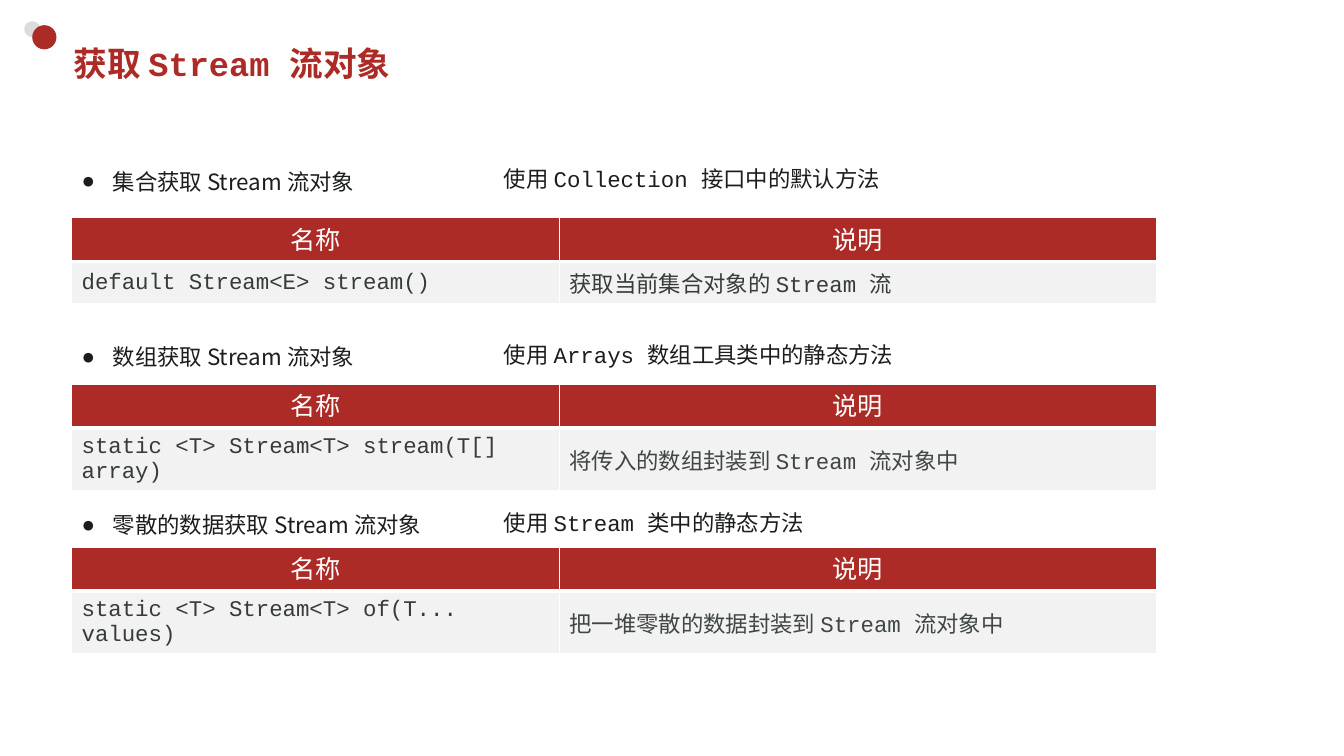
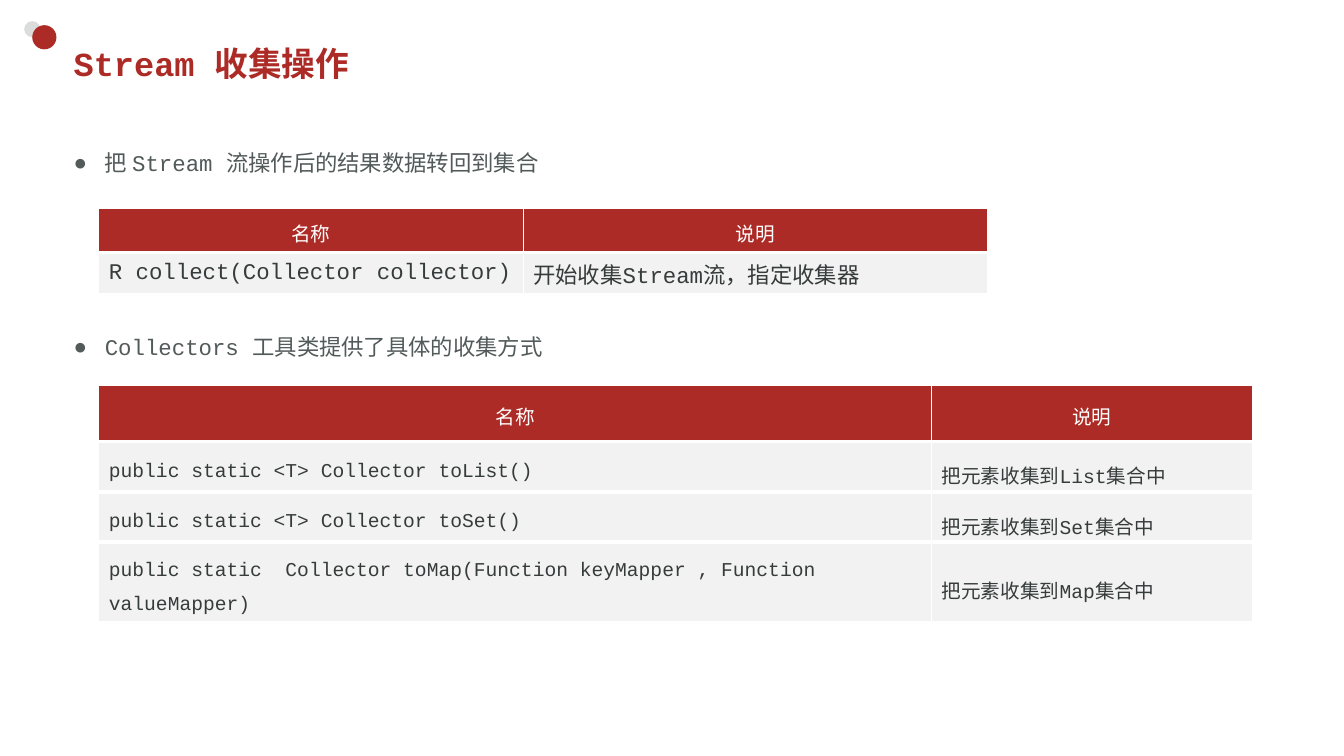
from dataclasses import dataclass

from lxml.etree import SubElement
from pptx import Presentation
from pptx.dml.color import RGBColor
from pptx.enum.lang import MSO_LANGUAGE_ID
from pptx.enum.shapes import MSO_SHAPE
from pptx.enum.text import MSO_ANCHOR, MSO_AUTO_SIZE, PP_ALIGN
from pptx.oxml import parse_xml
from pptx.oxml.ns import nsdecls, qn
from pptx.util import Inches, Pt


@dataclass(frozen=True)
class Theme:
    red: str = "AD2B26"
    dot_gray: str = "DADDDC"
    row_gray: str = "F2F2F2"
    white: str = "FFFFFF"
    ink: str = "1B1E1D"
    cell_ink: str = "363C3B"
    soft_ink: str = "3F4645"
    bullet_ink: str = "525B5A"
    code_font: str = "Courier New"
    head_font: str = "Arial"
    cjk_font: str = "Noto Sans CJK JP"
    title_size: int = 24
    head_size: int = 18
    text_size: int = 16
    small_size: int = 14


THEME = Theme()


def rgb(color):
    return RGBColor.from_string(color)


def write(frame, text, *, size=THEME.text_size, font=THEME.code_font, color=THEME.ink,
          bold=False, align=PP_ALIGN.LEFT, spacing=1.0, bullet=None):
    paragraph = frame.paragraphs[0]
    properties = paragraph._p.get_or_add_pPr()
    indent = Inches(0.31) if bullet else 0
    properties.set("marL", str(indent))
    properties.set("indent", str(-indent))
    if bullet:
        SubElement(properties, qn("a:buFont")).set("typeface", THEME.head_font)
        SubElement(properties, qn("a:buChar")).set("char", bullet)
    else:
        SubElement(properties, qn("a:buNone"))
    paragraph.alignment = align
    paragraph.line_spacing = spacing
    paragraph.space_before = Pt(0)
    run = paragraph.add_run()
    run.text = text
    run.font.size = Pt(size)
    run.font.bold = bold
    run.font.color.rgb = rgb(color)
    run.font.name = font
    run.font.language_id = MSO_LANGUAGE_ID.SIMPLIFIED_CHINESE
    SubElement(run._r.get_or_add_rPr(), qn("a:ea")).set("typeface", THEME.cjk_font)


def place(part, left, top, width, height):
    part.left, part.top = Inches(left), Inches(top)
    part.width, part.height = Inches(width), Inches(height)


def fit_text(frame):
    frame.word_wrap = True
    frame.auto_size = MSO_AUTO_SIZE.SHAPE_TO_FIT_TEXT
    frame.vertical_anchor = MSO_ANCHOR.TOP


def add_corner_dots(layout, slide):
    dots = [(0.24, 0.21, 0.16, THEME.dot_gray), (0.32, 0.25, 0.24, THEME.red)]
    for order, (left, top, size, color) in enumerate(dots):
        dot = slide.shapes.add_shape(MSO_SHAPE.OVAL, Inches(left), Inches(top),
                                     Inches(size), Inches(size))
        dot.shadow.inherit = False
        dot.fill.solid()
        dot.fill.fore_color.rgb = rgb(color)
        dot.line.fill.background()
        dot.element.nvSpPr.cNvPr.set("id", str(101 + order))
        layout.shapes.element.insert(2 + order, dot.element)


def start_slide(deck, layout, title):
    slide = deck.slides.add_slide(layout)
    heading = slide.shapes.title
    place(heading, 0.63, 0.37, 11.74, 0.52)
    frame = heading.text_frame
    frame.word_wrap = True
    frame.auto_size = MSO_AUTO_SIZE.NONE
    frame.vertical_anchor = MSO_ANCHOR.MIDDLE
    write(frame, title, size=THEME.title_size, color=THEME.red, bold=True)
    bodies = [body for body in slide.placeholders if body.placeholder_format.idx != 0]
    return slide, bodies


def fill_bullets(bodies, bullets, left, width, **style):
    for body, (text, top) in zip(bodies, bullets):
        place(body, left, top, width, 0.47)
        fit_text(body.text_frame)
        write(body.text_frame, text, spacing=1.5, bullet="●", **style)
    for spare in bodies[len(bullets):]:
        spare.element.getparent().remove(spare.element)


def add_caption(slide, text, left, top):
    caption = slide.shapes.add_textbox(Inches(left), Inches(top), Inches(4.92), Inches(0.47))
    fit_text(caption.text_frame)
    write(caption.text_frame, text, spacing=1.5)


def set_borders(cell, top_width):
    edges = [("lnL", 1), ("lnR", 1), ("lnT", top_width), ("lnB", 3)]
    properties = cell._tc.get_or_add_tcPr()
    for order, (edge, width) in enumerate(edges):
        properties.insert(order, parse_xml(
            f'<a:{edge} {nsdecls("a")} w="{Pt(width)}"><a:solidFill>'
            f'<a:srgbClr val="{THEME.white}"/></a:solidFill></a:{edge}>'))


def add_method_table(slide, methods, left, top, columns, heights, head_size=THEME.head_size,
                     note_color=THEME.cell_ink, **cell_style):
    rows = [("名称", "说明"), *methods]
    table = slide.shapes.add_table(len(rows), len(columns), Inches(left), Inches(top),
                                   Inches(sum(columns)), Inches(sum(heights))).table
    for column, width in zip(table.columns, columns):
        column.width = Inches(width)
    for row, height in zip(table.rows, heights):
        row.height = Inches(height)
    for row_index, texts in enumerate(rows):
        is_head = row_index == 0
        for column_index, text in enumerate(texts):
            cell = table.cell(row_index, column_index)
            cell.vertical_anchor = MSO_ANCHOR.MIDDLE
            cell.fill.solid()
            cell.fill.fore_color.rgb = rgb(THEME.red if is_head else THEME.row_gray)
            set_borders(cell, 1 if is_head else 3)
            if is_head:
                write(cell.text_frame, text, size=head_size, font=THEME.head_font,
                      color=THEME.white, align=PP_ALIGN.CENTER, spacing=Pt(24))
            else:
                color = note_color if column_index else THEME.cell_ink
                write(cell.text_frame, text, color=color, **cell_style)


def build_sources_slide(deck, layout):
    slide, bodies = start_slide(deck, layout, "获取 Stream 流对象")
    sources = [
        ("集合获取 Stream 流对象", 1.48, "使用 Collection 接口中的默认方法", 2.16,
         ("default Stream<E> stream()", "获取当前集合对象的 Stream 流"), THEME.cell_ink),
        ("数组获取 Stream 流对象", 3.22, "使用 Arrays 数组工具类中的静态方法", 3.81,
         ("static <T> Stream<T> stream(T[] array)", "将传入的数组封装到 Stream 流对象中"),
         THEME.soft_ink),
        ("零散的数据获取 Stream 流对象", 4.89, "使用 Stream 类中的静态方法", 5.43,
         ("static <T> Stream<T> of(T... values)", "把一堆零散的数据封装到 Stream 流对象中"),
         THEME.soft_ink),
    ]
    fill_bullets(bodies, [source[:2] for source in sources], 0.71, 7.56, font=THEME.cjk_font)
    for _, bullet_top, caption, table_top, method, note_color in sources:
        add_caption(slide, caption, 4.9, bullet_top - 0.02)
        add_method_table(slide, [method], 0.71, table_top, (4.84, 5.92), (0.41, 0.43),
                         note_color=note_color)
    return slide


def build_collect_slide(deck, layout):
    slide, bodies = start_slide(deck, layout, "Stream 收集操作")
    bullets = [("把 Stream 流操作后的结果数据转回到集合", 1.3),
               ("Collectors 工具类提供了具体的收集方式", 3.12)]
    fill_bullets(bodies, bullets, 0.63, 9.02, color=THEME.bullet_ink)
    add_method_table(slide, [("R collect(Collector collector)", "开始收集Stream流，指定收集器")],
                     0.98, 2.07, (4.21, 4.61), (0.35, 0.42), head_size=THEME.small_size)
    collectors = [
        ("public static <T> Collector toList()", "把元素收集到List集合中"),
        ("public static <T> Collector toSet()", "把元素收集到Set集合中"),
        ("public static  Collector toMap(Function keyMapper , Function valueMapper)",
         "把元素收集到Map集合中"),
    ]
    add_method_table(slide, collectors, 0.98, 3.82, (8.26, 3.18), (0.56, 0.5, 0.5, 0.5),
                     head_size=THEME.small_size, size=THEME.small_size, spacing=1.5)


def main():
    deck = Presentation()
    deck.slide_width, deck.slide_height = Inches(13.33), Inches(7.5)
    layout = deck.slide_layouts.get_by_name("Comparison")
    sources_slide = build_sources_slide(deck, layout)
    add_corner_dots(layout, sources_slide)
    build_collect_slide(deck, layout)
    deck.save("out.pptx")


if __name__ == "__main__":
    main()
